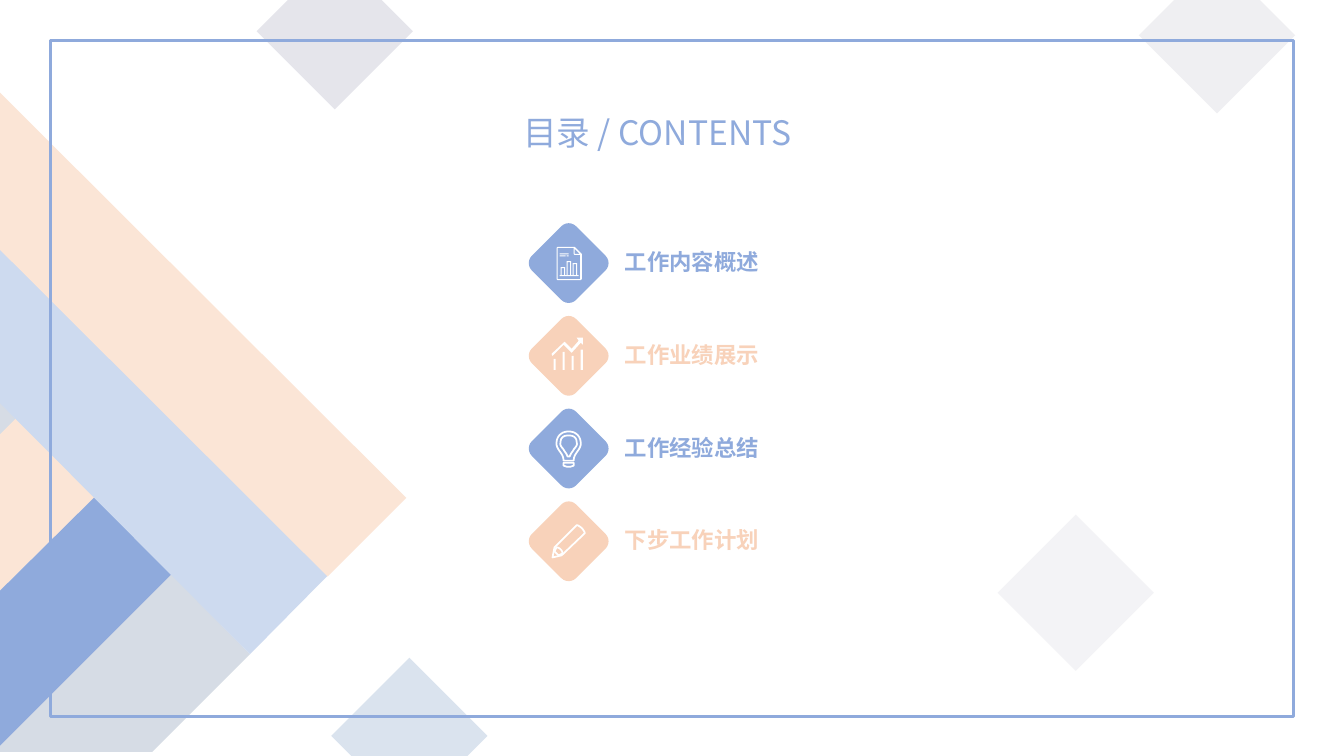
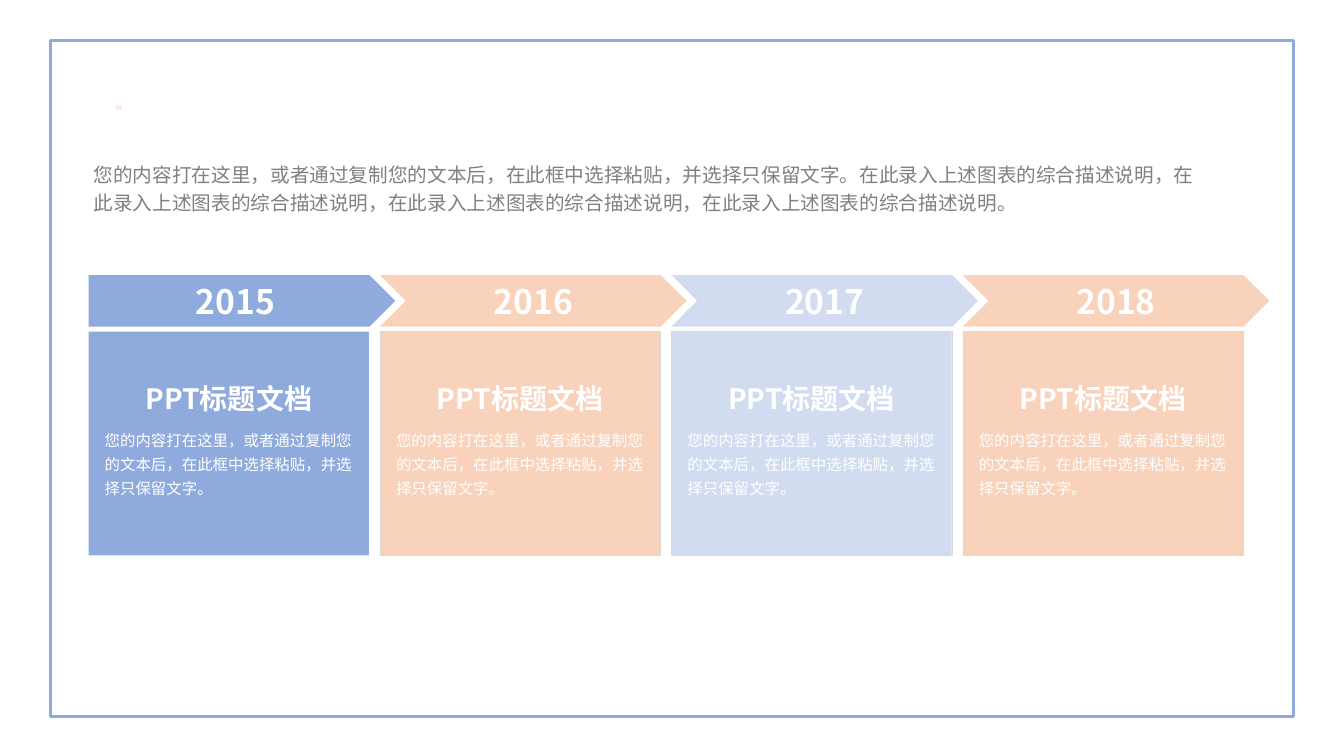
from dataclasses import dataclass

from lxml.etree import SubElement
from pptx import Presentation
from pptx.dml.color import RGBColor
from pptx.enum.shapes import MSO_SHAPE as Shape
from pptx.enum.text import MSO_ANCHOR as Anchor, MSO_AUTO_SIZE as AutoSize, PP_ALIGN as Align
from pptx.oxml.ns import qn
from pptx.util import Inches, Pt


@dataclass(frozen=True)
class Theme:
    font: str = "Noto Sans CJK SC"
    blue: str = "8FAADC"
    peach: str = "F8D2BA"
    pale_blue: str = "D1DCF1"
    band_blue: str = "CDDAEF"
    band_peach: str = "FBE5D6"
    band_grey: str = "D6DCE5"
    lilac: str = "E5E5EB"
    mist: str = "DAE3EE"
    smoke: str = "F3F3F6"
    hairline: str = "D9D9D9"
    grey: str = "808080"
    white: str = "FFFFFF"
    heading: int = 24
    card_title: int = 20
    label: int = 16
    summary: int = 14
    quote: int = 12
    card_body: int = 11


THEME = Theme()
UNITS = 1000

BANDS = [
    (THEME.band_grey, [(-0.03, 4.35), (-0.03, 3.96), (0.16, 4.16)]),
    (THEME.band_peach, [(0.95, 4.92), (-0.03, 5.89), (-0.03, 4.34), (0.16, 4.15)]),
    (THEME.blue, [(0.95, 4.92), (1.72, 5.7), (-0.03, 7.46), (-0.03, 5.89)]),
    (THEME.band_grey, [(2.48, 6.49), (1.51, 7.46), (-0.06, 7.46), (1.7, 5.7)]),
    (THEME.band_blue, [(2.48, 6.49), (-0.05, 3.95), (-0.05, 2.4), (3.26, 5.7)]),
    (THEME.band_peach, [(-0.84, 1.64), (-0.84, 0.78), (-0.14, 0.78), (4.03, 4.94), (3.25, 5.72)]),
]
DIAMONDS = [
    (3.32, 0.31, THEME.lilac, None),
    (4.06, 7.3, THEME.mist, None),
    (10.67, 5.88, THEME.smoke, None),
    (12.07, 0.35, THEME.lilac, 61),
]


def paint(shape, fill=None, line=None, width=1.0, alpha=None):
    shape.shadow.inherit = False
    if fill:
        shape.fill.solid()
        shape.fill.fore_color.rgb = RGBColor.from_string(fill)
        if alpha:
            color = shape.fill._xPr.find(qn("a:solidFill"))[0]
            SubElement(color, qn("a:alpha")).set("val", str(alpha * 1000))
    else:
        shape.fill.background()
    if line:
        shape.line.color.rgb = RGBColor.from_string(line)
        shape.line.width = Pt(width)
    else:
        shape.line.fill.background()
    return shape


def block(slide, kind, box, **look):
    return paint(slide.shapes.add_shape(kind, *map(Inches, box)), **look)


def outline(slide, origin, contours, **look):
    builder = None
    for contour in contours:
        (x, y), *rest = [(round(px * UNITS), round(py * UNITS)) for px, py in contour]
        if builder is None:
            builder = slide.shapes.build_freeform(x, y, scale=Inches(1) / UNITS)
        else:
            builder.move_to(x, y)
        builder.add_line_segments(rest, close=True)
    return paint(builder.convert_to_shape(*map(Inches, origin)), **look)


def write(shape, words, size, color, bold=False, align=Align.LEFT,
          anchor=Anchor.TOP, spacing=None, wrap=True, grow=False):
    frame = shape.text_frame
    frame.text = words
    frame.word_wrap = wrap
    frame.vertical_anchor = anchor
    frame.auto_size = AutoSize.SHAPE_TO_FIT_TEXT if grow else AutoSize.NONE
    paragraph = frame.paragraphs[0]
    paragraph.alignment = align
    if spacing:
        paragraph.line_spacing = spacing
    for run in paragraph.runs:
        run.font.name = THEME.font
        run.font.size = Pt(size)
        run.font.bold = bold
        run.font.color.rgb = RGBColor.from_string(color)
        SubElement(run.font._element, qn("a:ea")).set("typeface", THEME.font)


def caption(slide, box, words, size, color, **style):
    write(slide.shapes.add_textbox(*map(Inches, box)), words, size, color, **style)


def curve(start, *pieces, steps=8):
    points = [start]
    for c1, c2, end in pieces:
        begin = points[-1]
        for step in range(1, steps + 1):
            t = step / steps
            weights = (1 - t) ** 3, 3 * t * (1 - t) ** 2, 3 * t * t * (1 - t), t ** 3
            points.append(tuple(sum(w * p[axis] for w, p in zip(weights, (begin, c1, c2, end)))
                                for axis in (0, 1)))
    return points


def mirrored(half):
    return half + [(-x, y) for x, y in reversed(half)]


def bar(left, top, right, bottom):
    return [(left, top), (right, top), (right, bottom), (left, bottom)]


def report_icon(slide, center):
    page = [(-0.11, -0.16), (0.06, -0.16), (0.13, -0.09), (0.13, 0.16),
            (0.12, 0.17), (-0.11, 0.17), (-0.12, 0.16), (-0.12, -0.15)]
    sheet = [(-0.11, -0.15), (0.05, -0.15), (0.05, -0.09), (0.06, -0.08),
             (0.115, -0.08), (0.115, 0.16), (-0.11, 0.16)]
    fold = [(0.06, -0.14), (0.06, -0.09), (0.11, -0.09)]
    notes = [bar(-0.09, -0.095, 0, -0.085), bar(-0.09, -0.075, -0.03, -0.065),
             bar(-0.02, -0.075, 0, -0.065)]
    columns = [(-0.08, 0.04), (-0.02, -0.02), (0.04, 0.0)]
    bars = [contour for left, top in columns
            for contour in (bar(left, top, left + 0.045, 0.12),
                            bar(left + 0.01, top + 0.01, left + 0.035, 0.12))]
    outline(slide, center, [page, sheet, fold, *notes, *bars, bar(-0.09, 0.12, 0.1, 0.13)],
            fill=THEME.white)


def growth_icon(slide, center):
    bars = [bar(left, top, left + 0.02, 0.14)
            for left, top in [(-0.15, 0.03), (-0.06, -0.04), (0.03, 0), (0.12, -0.06)]]
    arrow = [(0.14, -0.11), (0.12, -0.13), (0.03, -0.03), (-0.05, -0.11), (-0.16, 0),
             (-0.17, -0.02), (-0.04, -0.14), (0.03, -0.07), (0.1, -0.15),
             (0.08, -0.18), (0.14, -0.18)]
    outline(slide, center, [*bars, arrow], fill=THEME.white)


def bulb_icon(slide, center):
    glass = curve((-0.05, 0.12),
                  ((-0.05, 0.04), (-0.13, 0.01), (-0.12, -0.06)),
                  ((-0.12, -0.11), (-0.08, -0.17), (0, -0.17)))
    glow = curve((-0.01, 0.08),
                 ((-0.02, 0.05), (-0.04, 0.03), (-0.05, 0.01)),
                 ((-0.07, -0.02), (-0.09, -0.03), (-0.08, -0.06)),
                 ((-0.08, -0.11), (-0.05, -0.13), (0, -0.13)))
    base = [(-0.05, 0.14), (-0.05, 0.17), (-0.02, 0.18)]
    outline(slide, center, [mirrored(half) for half in (base, glass, glow)],
            line=THEME.white, width=1.25)


def pencil_icon(slide, center):
    body = curve((0.08, -0.16), ((0.09, -0.16), (0.11, -0.15), (0.13, -0.13)),
                 ((0.15, -0.11), (0.16, -0.09), (0.16, -0.08)))
    body += [(-0.07, 0.14), (-0.16, 0.16), (-0.14, 0.06)]
    tip = curve((-0.12, 0.06), ((-0.12, 0.06), (-0.1, 0.06), (-0.08, 0.08)),
                ((-0.06, 0.1), (-0.06, 0.12), (-0.06, 0.12)))
    tip += [(-0.1, 0.14), (-0.14, 0.1)]
    outline(slide, center, [body, tip], line=THEME.white, width=1.25)


def page_frame(slide):
    block(slide, Shape.RECTANGLE, (0.5, 0.4, 12.33, 6.71), line=THEME.blue, width=2.25)


def backdrop(slide):
    for color, corners in BANDS:
        outline(slide, (0, 0), [corners], fill=color)
    span = 1.55
    for x, y, color, alpha in DIAMONDS:
        block(slide, Shape.DIAMOND, (x - span / 2, y - span / 2, span, span),
              fill=color, alpha=alpha)


def agenda_entry(slide, left, top, words, color, draw_icon):
    side = 0.62
    badge = block(slide, Shape.ROUNDED_RECTANGLE, (left, top, side, side), fill=color)
    badge.rotation = 45
    draw_icon(slide, (left + side / 2, top + side / 2))
    caption(slide, (left + 0.77, top, 2.82, 0.48), words, THEME.label, color,
            bold=True, anchor=Anchor.BOTTOM, wrap=False)


def contents_slide(slide):
    backdrop(slide)
    page_frame(slide)
    caption(slide, (5.09, 1.06, 3.16, 0.5), "目录 / CONTENTS", THEME.heading, THEME.blue, grow=True)
    entries = [
        ("工作内容概述", THEME.blue, report_icon),
        ("工作业绩展示", THEME.peach, growth_icon),
        ("工作经验总结", THEME.blue, bulb_icon),
        ("下步工作计划", THEME.peach, pencil_icon),
    ]
    for row, entry in enumerate(entries):
        agenda_entry(slide, 5.33, 2.3 + 0.92 * row, *entry)


def year_card(slide, left, top, year, color, arrow, border):
    banner = block(slide, arrow, (left, top, 3.04, 0.51), fill=color)
    write(banner, year, THEME.heading, THEME.white, bold=True,
          align=Align.CENTER, anchor=Anchor.MIDDLE)
    block(slide, Shape.RECTANGLE, (left, top + 0.56, 2.78, 2.22),
          fill=color, line=border, width=0.25)
    caption(slide, (left + 0.06, top + 0.96, 2.66, 0.48), "PPT标题文档", THEME.card_title,
            THEME.white, bold=True, align=Align.CENTER, anchor=Anchor.BOTTOM)
    caption(slide, (left + 0.06, top + 1.44, 2.66, 0.95),
            "您的内容打在这里，或者通过复制您的文本后，在此框中选择粘贴，并选择只保留文字。",
            THEME.card_body, THEME.white, spacing=1.3)


def timeline_slide(slide):
    years = [
        ("2015", THEME.blue, Shape.PENTAGON, None),
        ("2016", THEME.peach, Shape.CHEVRON, THEME.hairline),
        ("2017", THEME.pale_blue, Shape.CHEVRON, THEME.hairline),
        ("2018", THEME.peach, Shape.CHEVRON, THEME.hairline),
    ]
    for column, year in enumerate(years):
        year_card(slide, 0.88 + 2.89 * column, 2.73, *year)
    caption(slide, (0.83, 1.52, 11.29, 0.67),
            "您的内容打在这里，或者通过复制您的文本后，在此框中选择粘贴，并选择只保留文字。"
            "在此录入上述图表的综合描述说明，在此录入上述图表的综合描述说明，"
            "在此录入上述图表的综合描述说明，在此录入上述图表的综合描述说明。",
            THEME.summary, THEME.grey, spacing=1.2, grow=True)
    page_frame(slide)
    caption(slide, (0.95, 0.99, 0.45, 0.25), "“", THEME.quote, THEME.peach, anchor=Anchor.MIDDLE)


def main():
    deck = Presentation()
    deck.slide_width, deck.slide_height = Inches(13.33), Inches(7.5)
    for build in (contents_slide, timeline_slide):
        build(deck.slides.add_slide(deck.slide_layouts[6]))
    deck.save("out.pptx")


if __name__ == "__main__":
    main()
